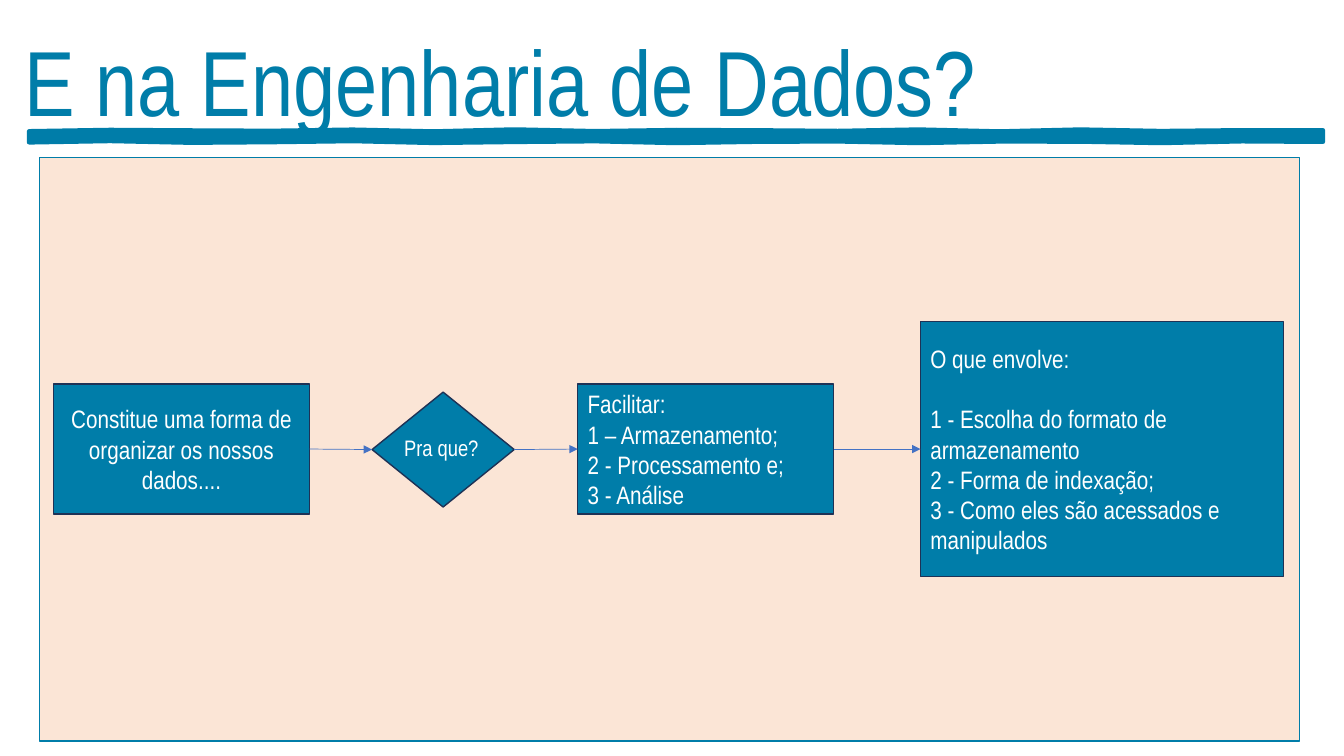
import math
from lxml import etree
from pptx import Presentation
from pptx.dml.color import RGBColor
from pptx.enum.shapes import MSO_CONNECTOR, MSO_SHAPE
from pptx.enum.text import MSO_ANCHOR, PP_ALIGN
from pptx.oxml.ns import qn
from pptx.util import Pt

PX = 9144  # 100 px to the inch
RECT, DIAMOND = MSO_SHAPE.RECTANGLE, MSO_SHAPE.DIAMOND
STRAIGHT = MSO_CONNECTOR.STRAIGHT
LEFT, CENTER = PP_ALIGN.LEFT, PP_ALIGN.CENTER
MIDDLE = MSO_ANCHOR.MIDDLE
NARROW = "Arial Narrow"
COLORS = {name: RGBColor.from_string(value) for name, value in {
    "teal": "007DA9", "navy": "1E3256", "peach": "FBE5D6",
    "arrow": "4472C4", "white": "FFFFFF"}.items()}


def paint(sp, fill, line, width):
    sp.shadow.inherit = False
    sp.fill.solid()
    sp.fill.fore_color.rgb = COLORS[fill]
    sp.line.color.rgb = COLORS[line]
    sp.line.width = Pt(width)


def write(tf, lines, align, color, fmt):
    """Put one paragraph per line into the frame, all in one format."""
    for i, text in enumerate(lines):
        p = tf.paragraphs[0] if i == 0 else tf.add_paragraph()
        p.alignment = align
        r = p.add_run()
        r.text = text
        r.font.color.rgb = COLORS[color]
        for key, value in fmt.items():
            setattr(r.font, key, value)


prs = Presentation()
prs.slide_width, prs.slide_height = 1333 * PX, 750 * PX
s = prs.slides.add_slide(prs.slide_layouts[6])

panel = s.shapes.add_shape(RECT, *(v * PX for v in (39, 156, 1250, 579)))
paint(panel, "peach", "teal", 1)

title = s.shapes.add_textbox(*(v * PX for v in (14, 19, 1147, 121)))
title.text_frame.word_wrap = True
write(title.text_frame, ["E na Engenharia de Dados?"], LEFT, "teal",
      {"name": NARROW, "size": Pt(66)})

# Brush stroke under the title: two gently waving edges, in tenths of a px
xs = [290 + round(i * 12830 / 16) for i in range(17)]
top = [(x, round(1297 + 10 * math.sin(x / 300))) for x in xs]
bottom = [(x, round(1407 + 10 * math.sin(x / 370 + 2))) for x in xs]
builder = s.shapes.build_freeform(*top[0], scale=PX / 10)
builder.add_line_segments(top[1:] + bottom[::-1], close=True)
stroke = builder.convert_to_shape()
paint(stroke, "teal", "teal", 3.5)
stroke.text_frame.vertical_anchor = MIDDLE
write(stroke.text_frame, ["‘"], CENTER, "teal", {"name": "Calibri", "size": Pt(18)})

STEPS = [
    (RECT, (53, 381, 254, 129), CENTER,
     ["Constitue uma forma de organizar os nossos dados...."]),
    (DIAMOND, (369, 389, 141, 114), CENTER, []),
    (RECT, (573, 381, 254, 129), LEFT,
     ["Facilitar:", "1 – Armazenamento;", "2 - Processamento e;", "3 - Análise"]),
    (RECT, (913, 319, 360, 253), LEFT,
     ["O que envolve:", "1 - Escolha do formato de armazenamento",
      "2 - Forma de indexação;", "3 - Como eles são acessados e manipulados"]),
]
steps = []
for kind, box, align, lines in STEPS:
    sp = s.shapes.add_shape(kind, *(v * PX for v in box))
    paint(sp, "teal", "navy", 1)
    sp.text_frame.word_wrap = True
    sp.text_frame.vertical_anchor = MIDDLE
    write(sp.text_frame, lines, align, "white", {"name": NARROW, "size": Pt(18)})
    steps.append(sp)
steps[-1].text_frame.paragraphs[1].space_before = Pt(21.5)

# The question is wider than the diamond's own text area
question = s.shapes.add_textbox(*(v * PX for v in (391, 426, 101, 41)))
question.text_frame.word_wrap = False
write(question.text_frame, ["Pra que?"], LEFT, "white",
      {"name": NARROW, "size": Pt(16)})

for start, end in zip(steps, steps[1:]):
    arrow = s.shapes.add_connector(STRAIGHT, 0, 0, 0, 0)
    arrow.begin_connect(start, 3)
    arrow.end_connect(end, 1)
    arrow.line.color.rgb = COLORS["arrow"]
    arrow.line.width = Pt(0.5)
    etree.SubElement(arrow.line._get_or_add_ln(), qn("a:tailEnd"), type="triangle")
    etree.SubElement(arrow._element.spPr, qn("a:effectLst"))

prs.save("out.pptx")
